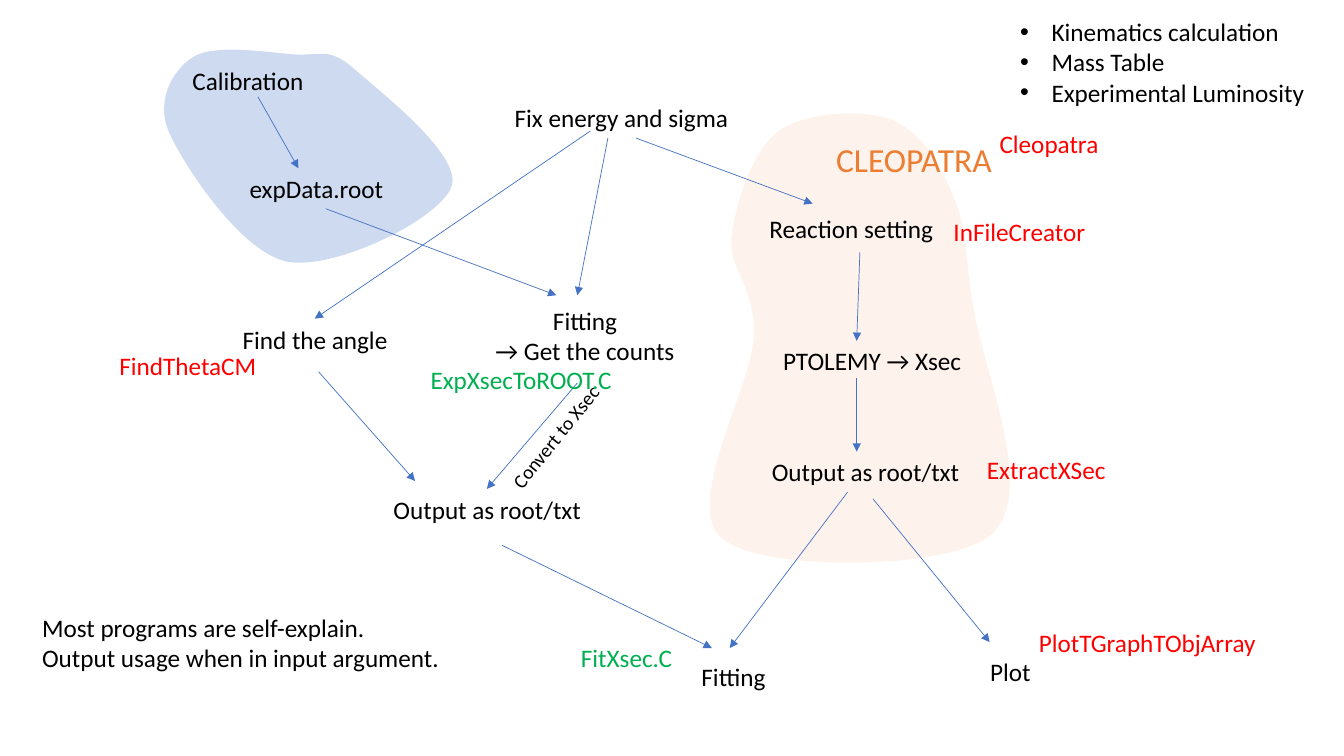
from dataclasses import dataclass

import lxml.etree
import pptx
import pptx.dml.color
import pptx.enum.shapes
import pptx.enum.text
import pptx.oxml.ns
import pptx.util

Cm = pptx.util.Cm
RGBColor = pptx.dml.color.RGBColor
qn = pptx.oxml.ns.qn
LEFT = pptx.enum.text.PP_ALIGN.LEFT
CENTER = pptx.enum.text.PP_ALIGN.CENTER

BLACK = RGBColor(0x00, 0x00, 0x00)
BLUE = RGBColor(0x44, 0x72, 0xC4)
PEACH = RGBColor(0xF8, 0xCB, 0xAD)
ORANGE = RGBColor(0xED, 0x7D, 0x31)
RED = RGBColor(0xFF, 0x00, 0x00)
GREEN = RGBColor(0x00, 0xB0, 0x50)
FONT = "Calibri"
LINE_H = 1.02


@dataclass
class Label:
    """A text box; lengths in centimetres."""
    text: str
    x: float
    y: float
    w: float
    h: float = LINE_H
    color: RGBColor = BLACK
    align: int = LEFT
    wrap: bool = True
    size: int = 18
    rotation: int = 0
    bullets: bool = False


@dataclass
class Arrow:
    """A straight arrow from (x1, y1) to (x2, y2) in centimetres."""
    x1: float
    y1: float
    x2: float
    y2: float


@dataclass
class Blob:
    """A closed outline: its box and Bezier segments in centimetres."""
    box: tuple[float, float, float, float]
    curves: list[tuple[float, ...]]
    color: RGBColor
    opacity: int


BLOBS = [
    Blob((4.14, 1.24, 7.26, 5.38), [
        (6.73, 1.32, 5.38, 1.09, 4.85, 1.45),
        (4.34, 1.78, 3.89, 2.57, 4.29, 3.4),
        (4.7, 4.27, 6.1, 6.38, 7.26, 6.6),
        (8.46, 6.81, 11.1, 5.51, 11.38, 4.7),
        (11.66, 3.91, 9.55, 2.29, 8.92, 1.73),
        (8.28, 1.17, 8.08, 1.42, 7.39, 1.37),
    ], BLUE, 26),
    Blob((17.88, 2.87, 7.57, 11.33), [
        (21.74, 2.74, 20.32, 2.82, 19.63, 3.3),
        (18.97, 3.78, 18.54, 5.11, 18.44, 5.94),
        (18.34, 6.81, 19.05, 7.19, 19, 8.46),
        (18.95, 9.73, 17.2, 12.73, 18.19, 13.56),
        (19.18, 14.43, 23.8, 14.35, 24.89, 13.54),
        (25.98, 12.75, 25.22, 10.52, 24.77, 8.79),
        (24.28, 7.06, 24.46, 6.05, 24.08, 5.08),
        (23.7, 4.11, 23.22, 3.33, 22.48, 3.02),
    ], PEACH, 23),
]

ARROWS = [
    Arrow(15.32, 3.48, 14.55, 7.44),
    Arrow(16.03, 3.48, 20.48, 5.13),
    Arrow(14.55, 9.65, 12.27, 12.32),
    Arrow(21.59, 9.53, 21.59, 11.38),
    Arrow(12.65, 13.74, 17.94, 16.33),
    Arrow(21.36, 12.4, 18.39, 16.33),
    Arrow(14.88, 3.3, 7.93, 8.03),
    Arrow(8.03, 9.37, 10.46, 12.12),
    Arrow(8.21, 5.26, 14.02, 7.44),
    Arrow(6.5, 2.44, 7.52, 4.24),
    Arrow(21.67, 6.35, 21.59, 8.59),
    Arrow(22, 12.57, 24.94, 16.18),
]

LABELS = [
    Label("Fitting \n→ Get the counts ", 12.21, 7.57, 5.21, 1.8, align=CENTER),
    Label("Output as root/txt", 8.61, 12.32, 7.34, align=CENTER),
    Label("Fix energy and sigma", 12.72, 2.45, 5.97, wrap=False),
    Label("PTOLEMY → Xsec", 19.02, 8.58, 5.92, align=CENTER),
    Label("Output as root/txt", 19.2, 11.38, 7.34),
    Label("Fitting", 15.69, 16.55, 5.59, align=CENTER),
    Label("Find the angle", 5.77, 8.04, 4.34, align=CENTER),
    Label("Kinematics calculation\nMass Table\nExperimental Luminosity",
          25.46, 0.29, 7.75, 2.57, wrap=False, bullets=True),
    Label("expData.root", 6.04, 4.24, 4.34),
    Label("Calibration", 4.6, 1.52, 5.03),
    Label("Reaction setting", 19.14, 5.26, 6.12),
    Label("Convert to Xsec", 11.96, 10.11, 4.85, 0.86, size=14, rotation=309),
    Label("CLEOPATRA", 20.82, 3.38, 4.47, 1.27, ORANGE, wrap=False, size=24),
    Label("InFileCreator", 23.78, 5.32, 3.86, color=RED, wrap=False),
    Label("ExtractXSec", 24.62, 11.33, 3.53, color=RED, wrap=False),
    Label("FindThetaCM", 2.76, 8.71, 4.01, color=RED, wrap=False),
    Label("Cleopatra", 24.94, 3.12, 3.02, color=RED, wrap=False),
    Label("Plot", 22.67, 16.41, 5.59, align=CENTER),
    Label("PlotTGraphTObjArray", 25.93, 15.68, 6.15, color=RED, wrap=False),
    Label("ExpXsecToROOT.C", 10.6, 9.05, 5.11, color=GREEN, wrap=False),
    Label("FitXsec.C", 14.39, 16.05, 2.84, color=GREEN, wrap=False),
    Label("Most programs are self-explain.\nOutput usage when in input argument.",
          0.81, 15.3, 11.66, 1.8),
]


def bend_outline(sp: pptx.shapes.autoshape.Shape, blob: Blob) -> None:
    """Turn the straight sides of an outline into cubic curves in its box."""
    x, y, w, h = blob.box
    sp.left, sp.top, sp.width, sp.height = Cm(x), Cm(y), Cm(w), Cm(h)
    outline = next(sp._element.iter(qn("a:path")))
    outline.set("w", str(Cm(w)))
    outline.set("h", str(Cm(h)))
    start = outline.find(qn("a:moveTo"))[0]
    start.set("x", str(Cm(blob.curves[-1][4] - x)))
    start.set("y", str(Cm(blob.curves[-1][5] - y)))
    for side, curve in zip(outline.findall(qn("a:lnTo")), blob.curves):
        bend = lxml.etree.Element(qn("a:cubicBezTo"))
        for px, py in zip(curve[::2], curve[1::2]):
            lxml.etree.SubElement(bend, qn("a:pt"),
                                  x=str(Cm(px - x)), y=str(Cm(py - y)))
        outline.replace(side, bend)


def add_blob(s: pptx.slide.Slide, blob: Blob) -> None:
    """Draw a translucent rounded region."""
    corners = [(Cm(curve[4]), Cm(curve[5])) for curve in blob.curves]
    builder = s.shapes.build_freeform(*corners[-1])
    builder.add_line_segments(corners, close=True)
    sp = builder.convert_to_shape()
    bend_outline(sp, blob)
    sp.shadow.inherit = False
    sp.line.fill.background()
    sp.fill.solid()
    sp.fill.fore_color.rgb = blob.color
    color = sp._element.spPr.find(qn("a:solidFill"))[0]
    lxml.etree.SubElement(color, qn("a:alpha"), val=str(blob.opacity * 1000))


def add_arrow(s: pptx.slide.Slide, arrow: Arrow) -> None:
    """Draw a thin arrow with a triangular head."""
    sp = s.shapes.add_connector(
        pptx.enum.shapes.MSO_CONNECTOR.STRAIGHT,
        Cm(arrow.x1), Cm(arrow.y1), Cm(arrow.x2), Cm(arrow.y2))
    sp.line.color.rgb = BLUE
    sp.line.width = pptx.util.Pt(0.5)
    spPr = sp._element.spPr
    lxml.etree.SubElement(spPr.find(qn("a:ln")), qn("a:tailEnd"), type="triangle")
    lxml.etree.SubElement(spPr, qn("a:effectLst"))


def add_bullet(p: pptx.text.text._Paragraph) -> None:
    """Give a paragraph a hanging round bullet."""
    pPr = p._p.get_or_add_pPr()
    pPr.set("marL", str(Cm(0.79)))
    pPr.set("indent", str(-Cm(0.79)))
    lxml.etree.SubElement(pPr, qn("a:buFont"), typeface="Arial")
    lxml.etree.SubElement(pPr, qn("a:buChar"), char="•")


def add_label(s: pptx.slide.Slide, label: Label) -> None:
    """Write a label, one paragraph to a line."""
    sp = s.shapes.add_textbox(Cm(label.x), Cm(label.y), Cm(label.w), Cm(label.h))
    sp.rotation = label.rotation
    tf = sp.text_frame
    tf.word_wrap = label.wrap
    tf.auto_size = pptx.enum.text.MSO_AUTO_SIZE.SHAPE_TO_FIT_TEXT
    tf.text = label.text
    for p in tf.paragraphs:
        p.alignment = label.align
        if label.bullets:
            add_bullet(p)
        for r in p.runs:
            r.font.name = FONT
            r.font.size = pptx.util.Pt(label.size)
            r.font.color.rgb = label.color


prs = pptx.Presentation()
prs.slide_width, prs.slide_height = Cm(33.87), Cm(19.05)
s = prs.slides.add_slide(prs.slide_layouts[6])
for blob in BLOBS:
    add_blob(s, blob)
for arrow in ARROWS:
    add_arrow(s, arrow)
for label in LABELS:
    add_label(s, label)
prs.save("out.pptx")
